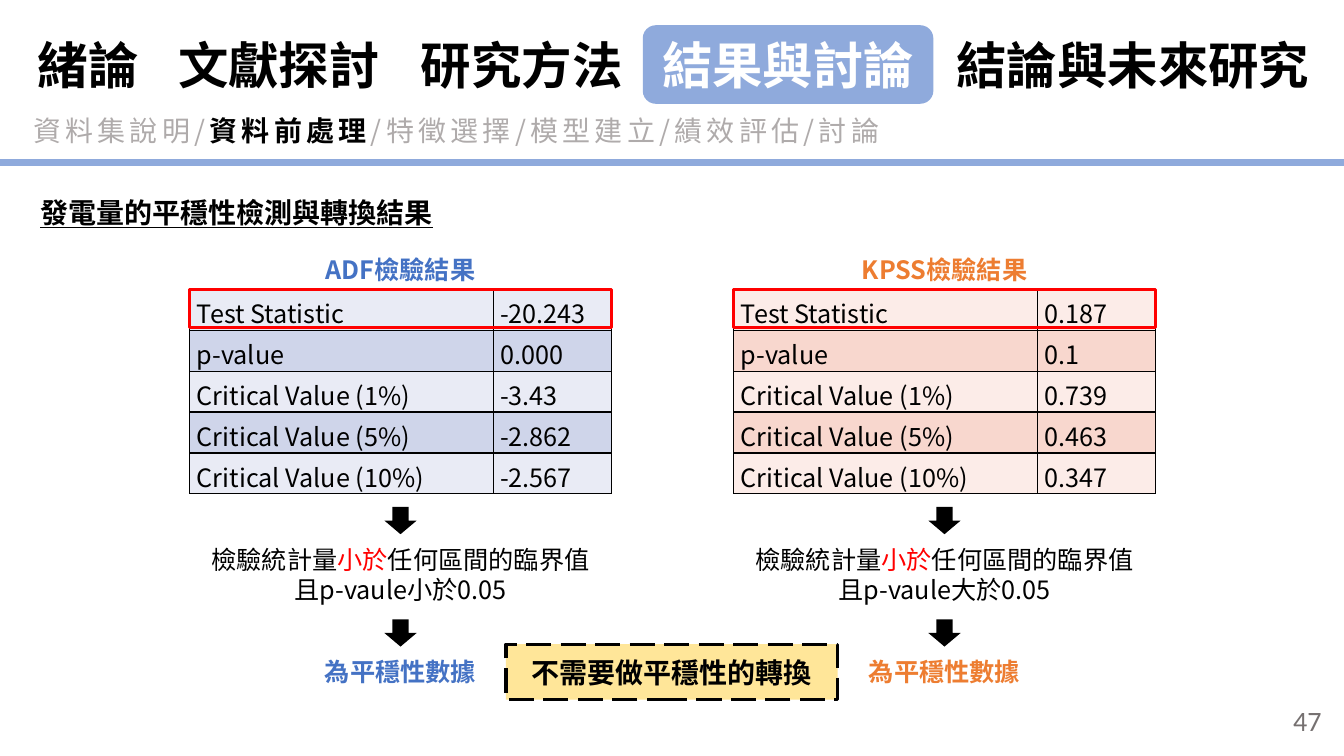
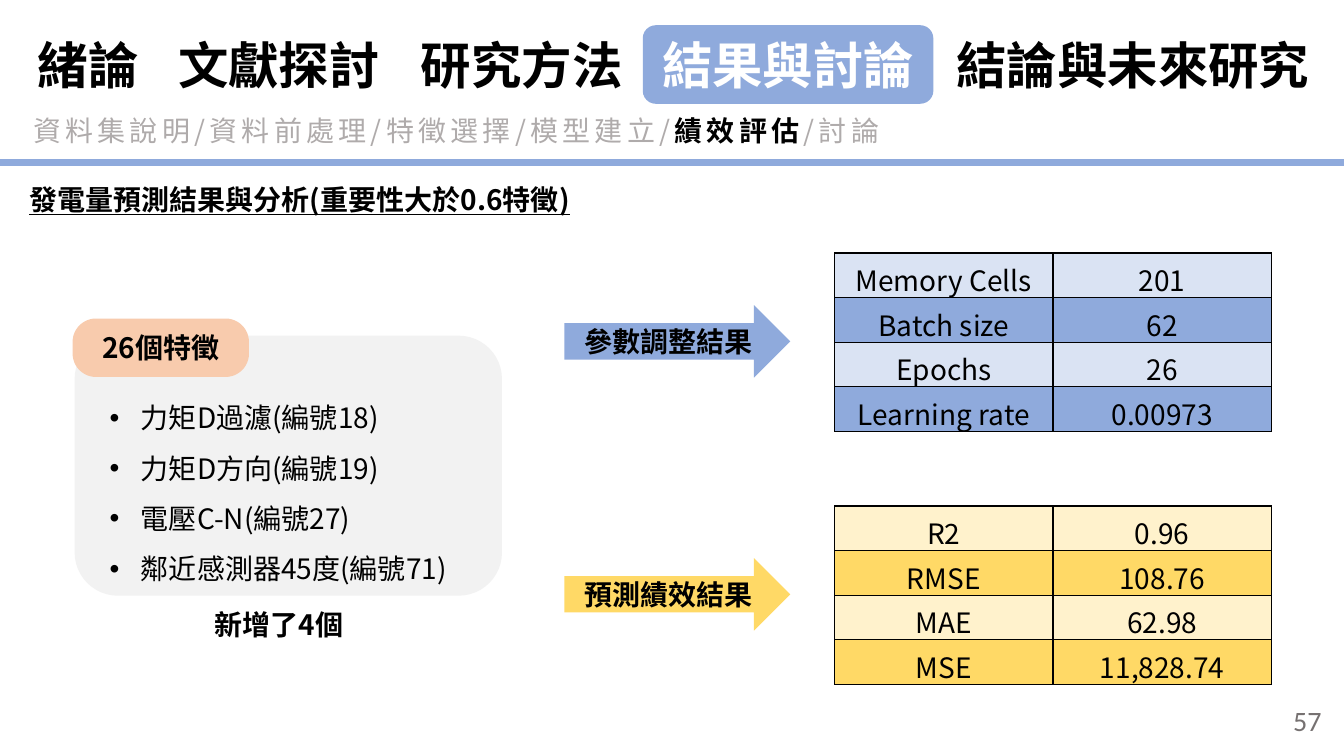
from dataclasses import dataclass, replace
from itertools import accumulate

from lxml import etree
from pptx import Presentation
from pptx import util as u
from pptx.dml.color import RGBColor
from pptx.enum import dml, shapes, text
from pptx.oxml.ns import qn

COLS, ROWS = 160, 90
WIDE, HIGH = u.Inches(13.333), u.Inches(7.5)
KIND = shapes.MSO_SHAPE
SIDE = text.PP_ALIGN
HOLD = text.MSO_ANCHOR


@dataclass(frozen=True)
class Theme:
    face: str = "Noto Sans CJK SC"
    digit: str = "Calibri"
    black: str = "000000"
    white: str = "FFFFFF"
    gray: str = "AFABAB"
    page: str = "767171"
    accent: str = "8FAADC"
    blue: str = "4472C4"
    orange: str = "ED7D31"
    red: str = "FF0000"
    gold: str = "FFD966"
    cream: str = "FFE699"
    peach: str = "F8CBAD"
    card: str = "F2F2F2"
    ice: tuple[str, str] = ("E9EBF5", "CFD5EA")
    rose: tuple[str, str] = ("FCECE8", "F8D7CE")
    sky: tuple[str, str] = ("DAE3F3", "8FAADC")
    sun: tuple[str, str] = ("FFF2CC", "FFD966")
    nav: int = 36
    body: int = 20
    small: int = 18


T = Theme()


@dataclass(frozen=True)
class Box:
    x: float
    y: float
    w: float
    h: float

    def emu(self) -> tuple[int, int, int, int]:
        return (across(self.x), down(self.y), across(self.w), down(self.h))


@dataclass(frozen=True)
class Style:
    size: int = T.body
    color: str = T.black
    bold: bool = False
    under: bool = False
    align: SIDE = SIDE.LEFT
    anchor: HOLD = HOLD.TOP
    face: str = T.face
    track: int = 0
    lead: float = 1.0
    dot: bool = False


@dataclass(frozen=True)
class Bit:
    words: str
    color: str | None = None
    bold: bool | None = None


@dataclass(frozen=True)
class Grid:
    box: Box
    share: tuple[float, float]
    fills: tuple[str, str]
    rows: tuple[tuple[str, str], ...]


@dataclass(frozen=True)
class Test:
    x: float
    name: str
    color: str
    fills: tuple[str, str]
    stats: tuple[str, ...]
    sign: str


@dataclass(frozen=True)
class Result:
    y: float
    name: str
    fill: str
    fills: tuple[str, str]
    rows: tuple[tuple[str, str], ...]


PLAIN = Style()
BOLD = Style(bold=True, align=SIDE.CENTER, anchor=HOLD.MIDDLE)
LABEL = Style(T.small, bold=True, align=SIDE.CENTER)
NAV = Style(T.nav, bold=True, align=SIDE.CENTER)
TRAIL = Style(color=T.gray, track=300)
HEAD = Style(bold=True, under=True)
PAGE = Style(color=T.page, align=SIDE.RIGHT, anchor=HOLD.MIDDLE, face=T.digit)

PARTS = (("緒論", 16.44), ("文獻探討", 29), ("研究方法", 28.8),
         ("結果與討論", 34.6), ("結論與未來研究", 47.5))
ACTIVE = "結果與討論"
STEPS = ("資料集說明", "資料前處理", "特徵選擇", "模型建立", "績效評估", "討論")
STATS = ("Test Statistic", "p-value", "Critical Value (1%)",
         "Critical Value (5%)", "Critical Value (10%)")
TESTS = (
    Test(22.6, "ADF檢驗結果", T.blue, T.ice,
         ("-20.243", "0.000", "-3.43", "-2.862", "-2.567"), "小於"),
    Test(87.36, "KPSS檢驗結果", T.orange, T.rose,
         ("0.187", "0.1", "0.739", "0.463", "0.347"), "大於"),
)
RESULTS = (
    Result(30.12, "參數調整結果", T.accent, T.sky,
           (("Memory Cells", "201"), ("Batch size", "62"),
            ("Epochs", "26"), ("Learning rate", "0.00973"))),
    Result(60.24, "預測績效結果", T.gold, T.sun,
           (("R2", "0.96"), ("RMSE", "108.76"),
            ("MAE", "62.98"), ("MSE", "11,828.74"))),
)
TRAITS = ("力矩D過濾(編號18)", "力矩D方向(編號19)",
          "電壓C-N(編號27)", "鄰近感測器45度(編號71)")


def across(cols: float) -> int:
    return round(WIDE * cols / COLS)


def down(rows: float) -> int:
    return round(HIGH * rows / ROWS)


def rgb(color: str) -> RGBColor:
    return RGBColor.from_string(color)


def paint(run, style: Style) -> None:
    font = run.font
    font.name, font.size = style.face, u.Pt(style.size)
    font.bold, font.underline = style.bold, style.under
    font.color.rgb = rgb(style.color)
    props = run._r.get_or_add_rPr()
    etree.SubElement(props, qn("a:ea"), typeface=style.face)
    if style.track:
        props.set("spc", str(style.track))


def bullet(para) -> None:
    props = para._p.get_or_add_pPr()
    inset = u.Inches(0.31)
    props.set("marL", str(inset))
    props.set("indent", str(-inset))
    etree.SubElement(props, qn("a:buFont"), typeface="Arial")
    etree.SubElement(props, qn("a:buChar"), char="•")


def write(frame, lines: tuple, style: Style) -> None:
    frame.word_wrap = True
    frame.vertical_anchor = style.anchor
    for i, line in enumerate(lines):
        para = frame.paragraphs[0] if i == 0 else frame.add_paragraph()
        if style.dot:
            bullet(para)
        para.alignment, para.line_spacing = style.align, style.lead
        for bit in (Bit(line),) if isinstance(line, str) else line:
            run = para.add_run()
            run.text = bit.words
            paint(run, replace(
                style, color=bit.color or style.color,
                bold=style.bold if bit.bold is None else bit.bold))


def label(slide, box: Box, style: Style, *lines) -> None:
    write(slide.shapes.add_textbox(*box.emu()).text_frame, lines, style)


def block(slide, kind: KIND, box: Box, fill: str | None = None,
          words: str = "", style: Style = BOLD):
    shape = slide.shapes.add_shape(kind, *box.emu())
    shape.shadow.inherit = False
    shape.line.fill.background()
    if fill:
        shape.fill.solid()
        shape.fill.fore_color.rgb = rgb(fill)
    else:
        shape.fill.background()
    if words:
        write(shape.text_frame, (words,), style)
    return shape


def edge(shape, color: str):
    shape.line.color.rgb = rgb(color)
    shape.line.width = u.Pt(2.25)
    return shape.line


def border(cell) -> None:
    props = cell._tc.get_or_add_tcPr()
    for tag in ("a:lnL", "a:lnR", "a:lnT", "a:lnB"):
        line = etree.SubElement(props, qn(tag), w=str(u.Pt(1)))
        fill = etree.SubElement(line, qn("a:solidFill"))
        etree.SubElement(fill, qn("a:srgbClr"), val=T.black)


def table(slide, grid: Grid, style: Style) -> None:
    count = len(grid.rows)
    item = slide.shapes.add_table(count, 2, *grid.box.emu()).table
    item.first_row = item.horz_banding = False
    for col, share in zip(item.columns, grid.share):
        col.width = across(grid.box.w * share)
    for i, row in enumerate(grid.rows):
        item.rows[i].height = down(grid.box.h / count)
        for j, words in enumerate(row):
            cell = item.cell(i, j)
            border(cell)
            cell.fill.solid()
            cell.fill.fore_color.rgb = rgb(grid.fills[i % 2])
            cell.margin_left = cell.margin_right = u.Inches(0.07)
            cell.margin_top = cell.margin_bottom = 0
            write(cell.text_frame, (words,), style)
            cell.vertical_anchor = style.anchor


def start(deck, title: str, box: Box, step: str, page: int):
    slide = deck.slides.add_slide(deck.slide_layouts[5])
    head = slide.shapes.title
    head.left, head.top, head.width, head.height = box.emu()
    head.text_frame.auto_size = text.MSO_AUTO_SIZE.NONE
    write(head.text_frame, (title,), HEAD)
    rule = slide.shapes.add_connector(
        shapes.MSO_CONNECTOR.STRAIGHT, 0, down(19.32), WIDE, down(19.32))
    rule.line.color.rgb, rule.line.width = rgb(T.accent), u.Pt(5)
    etree.SubElement(rule._element.spPr, qn("a:effectLst"))
    label(slide, Box(122.52, 83.4, 36, 4.8), PAGE, str(page))
    past, rest = "/".join(STEPS).split(step)
    label(slide, Box(2.76, 12.96, 155.76, 5.28), TRAIL,
          (Bit(past), Bit(step, T.black, True), Bit(rest)))
    lefts = accumulate((wide for _, wide in PARTS), initial=2.28)
    for (name, wide), left in zip(PARTS, lefts):
        live = name == ACTIVE
        block(slide, KIND.ROUNDED_RECTANGLE, Box(left, 3, wide, 9.36),
              T.accent if live else None, name,
              replace(NAV, color=T.white if live else T.black))
    return slide


def trial(slide, test: Test) -> None:
    wide, top = 50.16, 34.44
    tint = replace(LABEL, color=test.color)
    table(slide, Grid(Box(test.x, top, wide, 24.36), (0.72, 0.28),
                      test.fills, tuple(zip(STATS, test.stats))),
          Style(T.small, lead=1.15))
    label(slide, Box(test.x, 29.64, wide, 4.8), tint, test.name)
    edge(block(slide, KIND.RECTANGLE, Box(test.x, top, wide, 4.56)), T.red)
    for y in (60.36, 73.74):
        block(slide, KIND.DOWN_ARROW,
              Box(test.x + (wide - 3.84) / 2, y, 3.84, 3.24), T.black)
    label(slide, Box(test.x, 64.2, wide, 8.52), replace(LABEL, bold=False),
          (Bit("檢驗統計量"), Bit("小於", T.red), Bit("任何區間的臨界值")),
          f"且p-vaule{test.sign}0.05")
    label(slide, Box(test.x, 77.58, wide, 4.8), tint, "為平穩性數據")


def station(deck) -> None:
    slide = start(deck, "發電量的平穩性檢測與轉換結果",
                  Box(3.6, 22.68, 58.08, 5.28), "資料前處理", 47)
    for test in TESTS:
        trial(slide, test)
    badge = block(slide, KIND.RECTANGLE, Box(60.24, 76.68, 39.48, 6.6),
                  T.cream, "不需要做平穩性的轉換")
    edge(badge, T.black).dash_style = dml.MSO_LINE.LONG_DASH


def forecast(deck) -> None:
    slide = start(deck, "發電量預測結果與分析(重要性大於0.6特徵)",
                  Box(2.28, 21.12, 80.16, 5.28), "績效評估", 57)
    for item in RESULTS:
        table(slide, Grid(Box(99.36, item.y, 52, 21.24), (0.5, 0.5),
                          item.fills, item.rows),
              replace(BOLD, bold=False, lead=1.15))
        block(slide, KIND.RIGHT_ARROW, Box(67.2, item.y + 6.2, 26.88, 8.64),
              item.fill, item.name)
    block(slide, KIND.ROUNDED_RECTANGLE, Box(8.88, 39.96, 50.88, 30.96), T.card)
    label(slide, Box(11.88, 45.12, 50.88, 24.72),
          replace(PLAIN, lead=1.5, dot=True), *TRAITS)
    tag = block(slide, KIND.ROUNDED_RECTANGLE, Box(8.64, 37.92, 21, 6.96),
                T.peach, "26個特徵")
    tag.adjustments[0] = 0.4
    label(slide, Box(19.92, 71.76, 26.64, 5.28),
          replace(BOLD, anchor=HOLD.TOP), "新增了4個")


def main() -> None:
    deck = Presentation()
    deck.slide_width, deck.slide_height = WIDE, HIGH
    station(deck)
    forecast(deck)
    deck.save("out.pptx")


if __name__ == "__main__":
    main()
